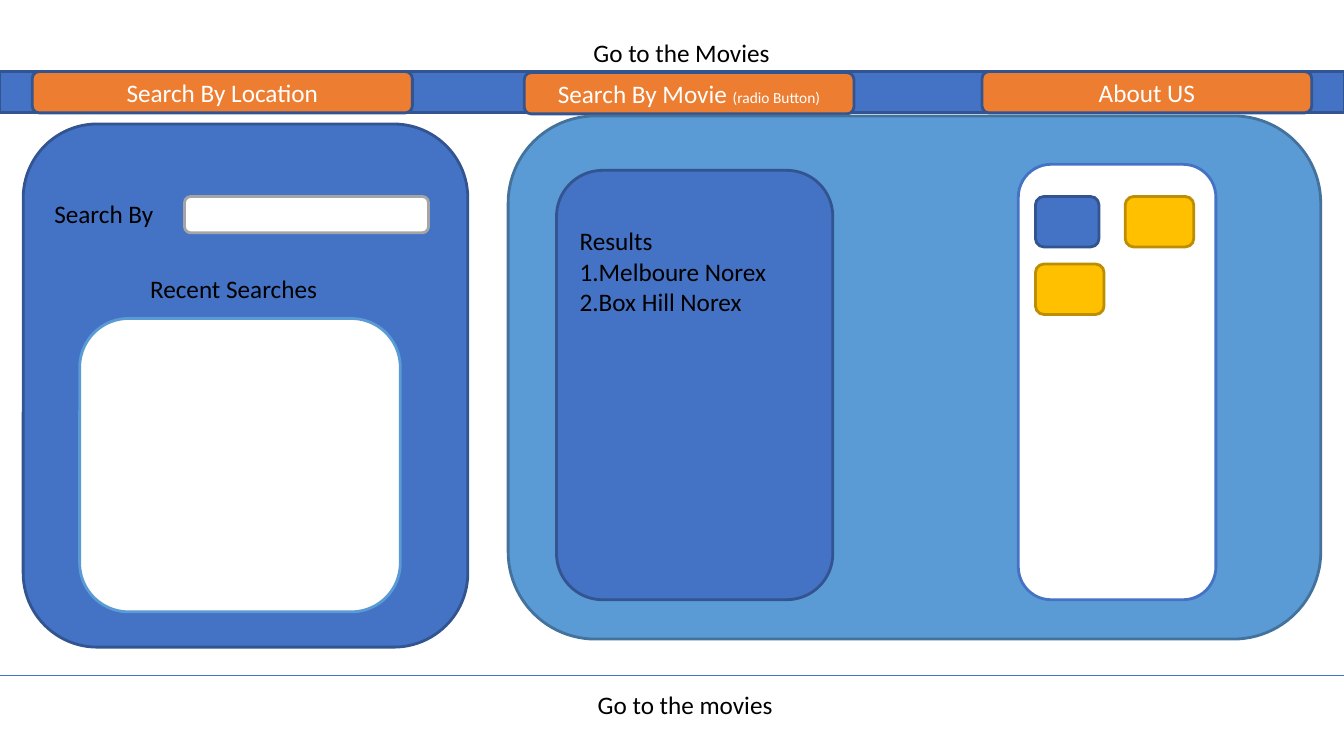
import pptx
import pptx.util
import pptx.dml.color
import pptx.enum.shapes
import pptx.enum.text
import pptx.oxml

Inches = pptx.util.Inches
Pt = pptx.util.Pt
RGBColor = pptx.dml.color.RGBColor
Kind = pptx.enum.shapes.MSO_SHAPE
Align = pptx.enum.text.PP_ALIGN
Anchor = pptx.enum.text.MSO_ANCHOR

BLUE = RGBColor(0x44, 0x72, 0xC4)
NAVY = RGBColor(0x32, 0x54, 0x90)
SKY = RGBColor(0x5B, 0x9B, 0xD5)
STEEL = RGBColor(0x43, 0x72, 0x9D)
ORANGE = RGBColor(0xED, 0x7D, 0x31)
GOLD = RGBColor(0xFF, 0xC0, 0x00)
BRONZE = RGBColor(0xBC, 0x8E, 0x00)
GRAY = RGBColor(0xA5, 0xA5, 0xA5)
WHITE = RGBColor(0xFF, 0xFF, 0xFF)
BLACK = RGBColor(0x00, 0x00, 0x00)

WIDE, HIGH = 13.33, 7.5
RULE = 6.7
BAR = (0, 0.71, WIDE, 0.41)

TITLE = ((4.09, 0, 5.34, 1.04), [[("Go to the Movies", 18)]])
TABS = [
    ((0.32, 0.71, 3.77, 0.41), [[("Search By Location", 18)]]),
    ((5.2, 0.72, 3.27, 0.41), [[("Search By Movie ", 18), ("(radio Button)", 11)]]),
    ((9.74, 0.71, 3.27, 0.41), [[("About US", 18)]]),
]
PANELS = [
    ((5.04, 1.15, 8.06, 5.19), SKY, STEEL),
    ((0.23, 1.23, 4.41, 5.19), BLUE, NAVY),
    ((1.83, 1.95, 2.42, 0.36), WHITE, GRAY),
    ((0.79, 3.16, 3.18, 2.91), WHITE, SKY),
    ((5.52, 1.69, 2.74, 4.26), BLUE, NAVY),
    ((10.1, 1.63, 1.96, 4.32), WHITE, BLUE),
    ((10.27, 1.95, 0.63, 0.5), BLUE, NAVY),
    ((11.16, 1.95, 0.68, 0.5), GOLD, BRONZE),
    ((10.27, 2.62, 0.68, 0.5), GOLD, BRONZE),
]
LABELS = [
    ((5.83, 6.79, 2.02, 0.4), [[("Go to the movies", 18)]]),
    ((0.44, 1.92, 1.48, 0.4), [[("Search By", 18)]]),
    ((1.39, 2.66, 2.08, 0.4), [[("Recent Searches", 18)]]),
    ((5.65, 2.19, 2.05, 1), [
        [("Results", 18)],
        [("1.Melboure Norex", 18)],
        [("2.Box Hill Norex", 18)],
    ]),
]
FRAME = {
    "word_wrap": True,
    "margin_left": Inches(0.1),
    "margin_right": Inches(0.1),
    "margin_top": Inches(0.05),
    "margin_bottom": Inches(0.05),
}


def apply(item, look):
    for name, value in look.items():
        setattr(item, name, value)


def write(shape, lines, color, align=Align.LEFT, anchor=Anchor.TOP):
    frame = shape.text_frame
    apply(frame, {**FRAME, "vertical_anchor": anchor})
    for i, line in enumerate(lines):
        para = frame.paragraphs[0] if i == 0 else frame.add_paragraph()
        para.alignment = align
        for text, size in line:
            run = para.add_run()
            run.text = text
            apply(run.font, {"name": "Calibri", "size": Pt(size)})
            run.font.color.rgb = color


def panel(slide, box, fill, edge, kind=Kind.ROUNDED_RECTANGLE):
    shape = slide.shapes.add_shape(kind, *map(Inches, box))
    shape.shadow.inherit = False
    shape.fill.solid()
    shape.fill.fore_color.rgb = fill
    shape.line.color.rgb = edge
    shape.line.width = Pt(2)
    return shape


def label(slide, box, lines, **place):
    write(slide.shapes.add_textbox(*map(Inches, box)), lines, BLACK, **place)


def main():
    deck = pptx.Presentation()
    apply(deck, {"slide_width": Inches(WIDE), "slide_height": Inches(HIGH)})
    slide = deck.slides.add_slide(deck.slide_layouts[6])
    middle = {"align": Align.CENTER, "anchor": Anchor.MIDDLE}

    label(slide, *TITLE, **middle)
    ends = map(Inches, (0, RULE, WIDE, RULE))
    rule = slide.shapes.add_connector(pptx.enum.shapes.MSO_CONNECTOR.STRAIGHT, *ends)
    rule.line.color.rgb = BLUE
    rule.line.width = Pt(0.75)
    rule.element.spPr.append(pptx.oxml.parse_xml(
        '<a:effectLst xmlns:a="http://schemas.openxmlformats.org/drawingml/2006/main"/>'))

    panel(slide, BAR, BLUE, NAVY, Kind.RECTANGLE)
    for box, lines in TABS:
        write(panel(slide, box, ORANGE, NAVY), lines, WHITE, **middle)
    for box, fill, edge in PANELS:
        panel(slide, box, fill, edge)
    for box, lines in LABELS:
        label(slide, box, lines)
    deck.save("out.pptx")


if __name__ == "__main__":
    main()
